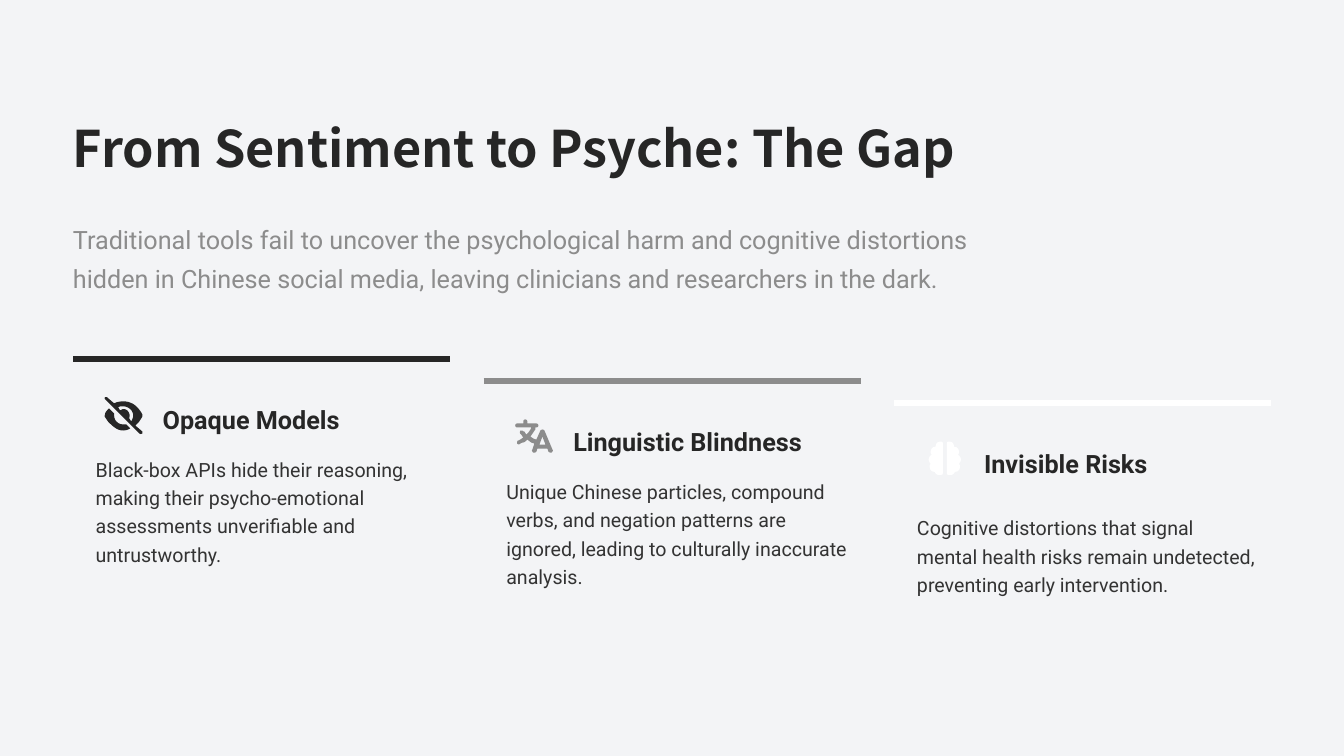
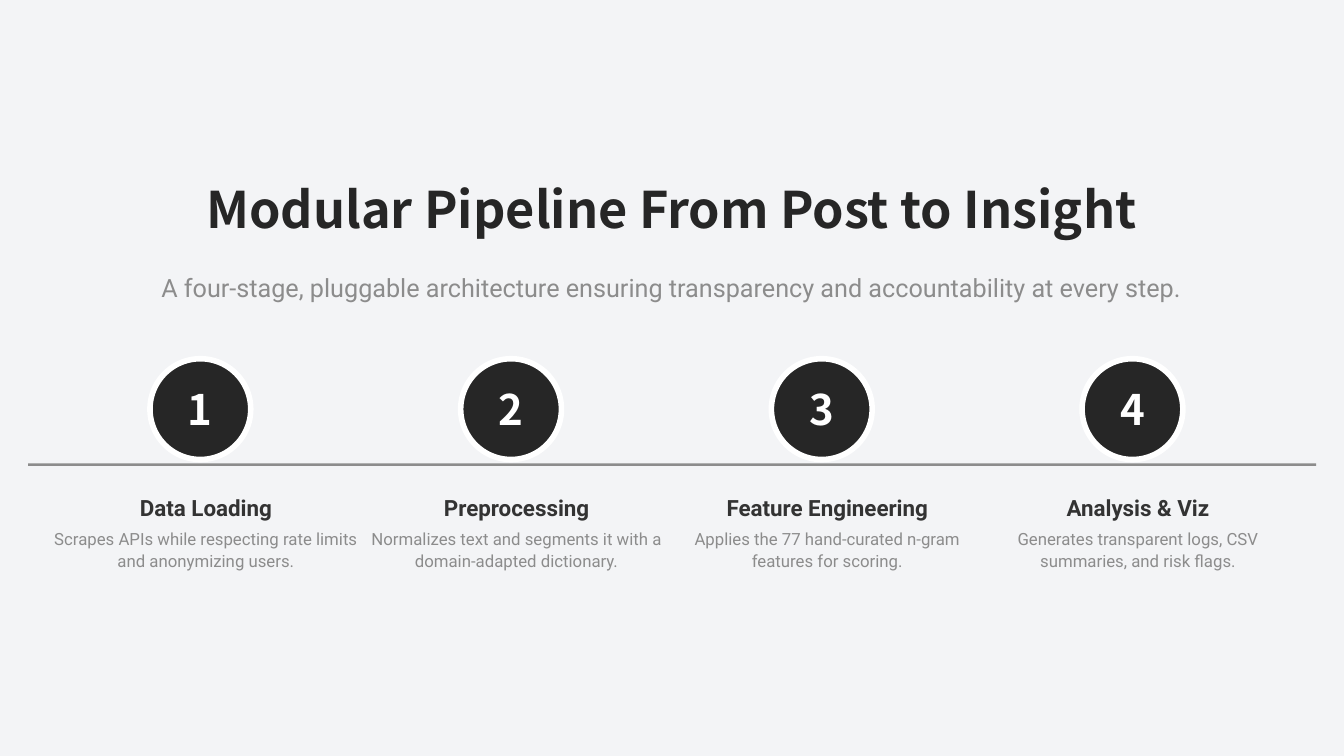
import pptx
import pptx.dml.color
import pptx.enum.shapes
import pptx.enum.text
import pptx.util
from dataclasses import dataclass
from lxml import etree
from pptx.util import Cm

ALIGN = pptx.enum.text.PP_ALIGN
SHAPE = pptx.enum.shapes.MSO_SHAPE
DRAWING = "http://schemas.openxmlformats.org/drawingml/2006/main"


@dataclass(frozen=True)
class Theme:
    heading_font: str = "Noto Sans CJK SC"
    body_font: str = "Roboto"
    paper: str = "F3F4F6"
    ink: str = "262626"
    text: str = "333333"
    muted: str = "8C8C8C"
    white: str = "FFFFFF"
    title_size: int = 36
    number_size: int = 30
    lead_size: int = 18
    label_size: int = 16
    body_size: int = 14
    small_size: int = 12
    rule_width: int = 4


THEME = Theme()

EYE_OFF = [
    [(3, 0), (1, 0), (0.5, 1), (1, 2), (35, 36), (36.5, 36.5), (38, 36), (38, 34), (31, 28),
     (35, 25, 37, 21, 38, 19), (38, 17), (37, 15, 35, 12, 32, 9), (29, 6, 24, 4, 19, 4),
     (16, 4, 12, 5, 10, 6)],
    [(14, 10), (15, 9, 17, 9, 19, 9), (24, 9, 29, 13, 29, 18), (29, 20, 28, 22, 27, 24),
     (25, 21), (25, 20, 26, 18, 25, 16), (24, 13, 21, 11, 18, 12), (16, 13)],
    [(22, 27), (19, 27), (14, 27, 10, 23, 10, 18), (10, 16), (5, 11), (3, 13, 1, 15, 1, 17),
     (0.5, 19), (2, 21, 4, 25, 7, 27), (10, 30, 14, 33, 19, 33), (22, 33, 24, 32, 26, 31)],
]
TRANSLATE = [
    [(10, 0), (11, 0, 12, 1, 12, 2), (12, 4), (21, 4), (22, 4, 23, 5, 23, 6),
     (23, 7, 22, 8, 21, 8), (20, 8), (20, 10), (18, 12, 17, 15, 15, 17), (18, 19), (21, 20),
     (25, 11), (25, 11, 26, 10, 27, 10), (28, 10, 29, 11, 29, 11), (37, 30),
     (38, 31, 37, 32, 36, 33), (35, 33, 34, 33, 33, 32), (32, 29), (22, 29), (21, 32),
     (20, 33, 19, 33, 18, 33), (17, 32, 16, 31, 17, 30), (19, 24), (16, 23), (12, 20),
     (10, 22, 9, 23, 7, 23), (5, 24), (4, 25, 3, 25, 2, 24), (2, 22, 2, 21, 3, 21), (5, 20),
     (8, 18), (6, 15), (5, 14), (4, 13, 5, 12, 5, 11), (6, 11, 8, 11, 8, 12), (9, 12),
     (11, 15), (13, 13, 15, 11, 16, 8), (2, 8), (1, 8, 0, 7, 0, 6), (0, 5, 1, 4, 2, 4),
     (8, 4), (8, 2), (8, 1, 9, 0, 10, 0)],
    [(27, 17), (24, 25), (30, 25)],
]
BRAIN_HALF = [
    (8, 4), (8, 2, 10, 0, 12, 0), (13, 0), (15, 0, 15, 1, 15, 2), (15, 31),
    (15, 32, 15, 33, 13, 33), (11, 33), (9, 33, 8, 32, 7, 30), (4, 30, 2, 28, 2, 25),
    (2, 24, 2, 23, 3, 22), (2, 21, 1, 19, 1, 18), (1, 16, 2, 14, 4, 13),
    (3, 12, 3, 11, 3, 10), (3, 7, 5, 5, 8, 5),
]
BRAIN = [
    BRAIN_HALF,
    [tuple(34 - v if i % 2 == 0 else v for i, v in enumerate(step)) for step in BRAIN_HALF],
]


def color(value):
    return pptx.dml.color.RGBColor.from_string(value)


def flatten(steps, pieces=6):
    points = [steps[0]]
    for step in steps[1:]:
        if len(step) == 2:
            points.append(step)
            continue
        x0, y0 = points[-1]
        x1, y1, x2, y2, x3, y3 = step
        for piece in range(1, pieces + 1):
            t = piece / pieces
            s = 1 - t
            a, b, c, d = s ** 3, 3 * s * s * t, 3 * s * t * t, t ** 3
            points.append((a * x0 + b * x1 + c * x2 + d * x3,
                           a * y0 + b * y1 + c * y2 + d * y3))
    return [(x * 10, y * 10) for x, y in points]


class Slides:
    def __init__(self, theme):
        self.theme = theme
        self.deck = pptx.Presentation()
        self.deck.slide_width = Cm(33.87)
        self.deck.slide_height = Cm(19.05)
        self.page = None

    def new_page(self):
        self.page = self.deck.slides.add_slide(self.deck.slide_layouts[6])
        fill = self.page.background.fill
        fill.solid()
        fill.fore_color.rgb = color(self.theme.paper)

    def fill_text(self, box, words, size, ink, font, bold, align, spacing):
        frame = box.text_frame
        frame.word_wrap = True
        frame.vertical_anchor = pptx.enum.text.MSO_ANCHOR.MIDDLE
        frame.margin_left = frame.margin_right = frame.margin_top = frame.margin_bottom = 0
        para = frame.paragraphs[0]
        para.alignment = align
        para.line_spacing = spacing
        span = para.add_run()
        span.text = words
        span.font.name = font
        span.font.size = pptx.util.Pt(size)
        span.font.bold = bold
        span.font.color.rgb = color(ink)

    def text(self, words, left, top, width, height, size, ink,
             font=None, bold=False, align=ALIGN.LEFT, spacing=1.3):
        box = self.page.shapes.add_textbox(Cm(left), Cm(top), Cm(width), Cm(height))
        self.fill_text(box, words, size, ink, font or self.theme.body_font,
                       bold, align, spacing)

    def title(self, words, left, top, width, align=ALIGN.LEFT):
        self.text(words, left, top, width, 1.42, self.theme.title_size, self.theme.ink,
                  self.theme.heading_font, True, align, 0.9)

    def lead(self, words, left, top, width, height, align=ALIGN.LEFT):
        self.text(words, left, top, width, height, self.theme.lead_size, self.theme.muted,
                  align=align)

    def rule(self, left, top, width, ink):
        line = self.page.shapes.add_connector(
            pptx.enum.shapes.MSO_CONNECTOR.STRAIGHT,
            Cm(left), Cm(top), Cm(left + width), Cm(top))
        line.line.color.rgb = color(ink)
        line.line.width = pptx.util.Pt(self.theme.rule_width)
        etree.SubElement(line._element.spPr, "{%s}effectLst" % DRAWING)

    def paint(self, shape, ink):
        shape.shadow.inherit = False
        shape.fill.solid()
        shape.fill.fore_color.rgb = color(ink)
        shape.line.fill.background()

    def icon(self, contours, center, top, ink):
        outlines = [flatten(contour) for contour in contours]
        builder = self.page.shapes.build_freeform(*outlines[0][0], scale=Cm(2.54) / 1000)
        builder.add_line_segments(outlines[0][1:])
        for outline in outlines[1:]:
            builder.move_to(*outline[0])
            builder.add_line_segments(outline[1:])
        shape = builder.convert_to_shape()
        shape.left = Cm(center) - shape.width // 2
        shape.top = Cm(top)
        self.paint(shape, ink)

    def bar(self, left, top, width, height, ink):
        shape = self.page.shapes.add_shape(
            SHAPE.RECTANGLE, Cm(left), Cm(top), Cm(width), Cm(height))
        self.paint(shape, ink)

    def badge(self, words, center, top, size):
        shape = self.page.shapes.add_shape(
            SHAPE.OVAL, Cm(center - size / 2), Cm(top), Cm(size), Cm(size))
        self.paint(shape, self.theme.ink)
        shape.line.color.rgb = color(self.theme.white)
        shape.line.width = pptx.util.Pt(self.theme.rule_width)
        self.fill_text(shape, words, self.theme.number_size, self.theme.white,
                       self.theme.heading_font, True, ALIGN.CENTER, None)

    def card(self, left, top, contours, ink, heading, body):
        self.rule(left, top, 9.5, ink)
        self.icon(contours, left + 1.27, top + 0.97, ink)
        self.text(heading, left + 2.26, top + 0.91, 6.8, 0.99,
                  self.theme.lead_size, self.theme.ink, bold=True)
        self.text(body, left + 0.57, top + 2.39, 8.61, 2.82,
                  self.theme.body_size, self.theme.text, spacing=1.2)

    def stage(self, number, center, heading, body):
        width = 8.05
        left = center + 0.14 - width / 2
        self.badge(str(number), center, 9.04, 2.54)
        self.text(heading, left, 12.27, width, 0.84, self.theme.label_size,
                  self.theme.text, bold=True, align=ALIGN.CENTER)
        self.text(body, left, 13.26, width, 1.12, self.theme.small_size,
                  self.theme.muted, align=ALIGN.CENTER, spacing=1.1)


def gap_page(slides):
    slides.new_page()
    left = 1.84
    slides.title("From Sentiment to Psyche: The Gap", left, 3.1, 31.4)
    slides.lead("Traditional tools fail to uncover the psychological harm and cognitive "
                "distortions hidden in Chinese social media, leaving clinicians and "
                "researchers in the dark.", left, 4.93, 24.03, 2.97)
    cards = [
        (EYE_OFF, THEME.ink, "Opaque Models",
         "Black-box APIs hide their reasoning, making their psycho-emotional "
         "assessments unverifiable and untrustworthy."),
        (TRANSLATE, THEME.muted, "Linguistic Blindness",
         "Unique Chinese particles, compound verbs, and negation patterns are "
         "ignored, leading to culturally inaccurate analysis."),
        (BRAIN, THEME.white, "Invisible Risks",
         "Cognitive distortions that signal mental health risks remain undetected, "
         "preventing early intervention."),
    ]
    for index, card in enumerate(cards):
        slides.card(left + 10.35 * index, 9.04 + 0.56 * index, *card)


def pipeline_page(slides):
    slides.new_page()
    slides.title("Modular Pipeline From Post to Insight", 0.37, 4.65, 33.1, ALIGN.CENTER)
    slides.lead("A four-stage, pluggable architecture ensuring transparency and "
                "accountability at every step.", 0.37, 6.63, 33.1, 0.99, ALIGN.CENTER)
    slides.bar(0.71, 11.68, 32.46, 0.06, THEME.muted)
    stages = [
        ("Data Loading", "Scrapes APIs while respecting rate limits and anonymizing users."),
        ("Preprocessing", "Normalizes text and segments it with a domain-adapted dictionary."),
        ("Feature Engineering", "Applies the 77 hand-curated n-gram features for scoring."),
        ("Analysis & Viz", "Generates transparent logs, CSV summaries, and risk flags."),
    ]
    for index, stage in enumerate(stages):
        slides.stage(index + 1, 5.05 + 7.83 * index, *stage)


def main():
    slides = Slides(THEME)
    gap_page(slides)
    pipeline_page(slides)
    slides.deck.save("out.pptx")


if __name__ == "__main__":
    main()
